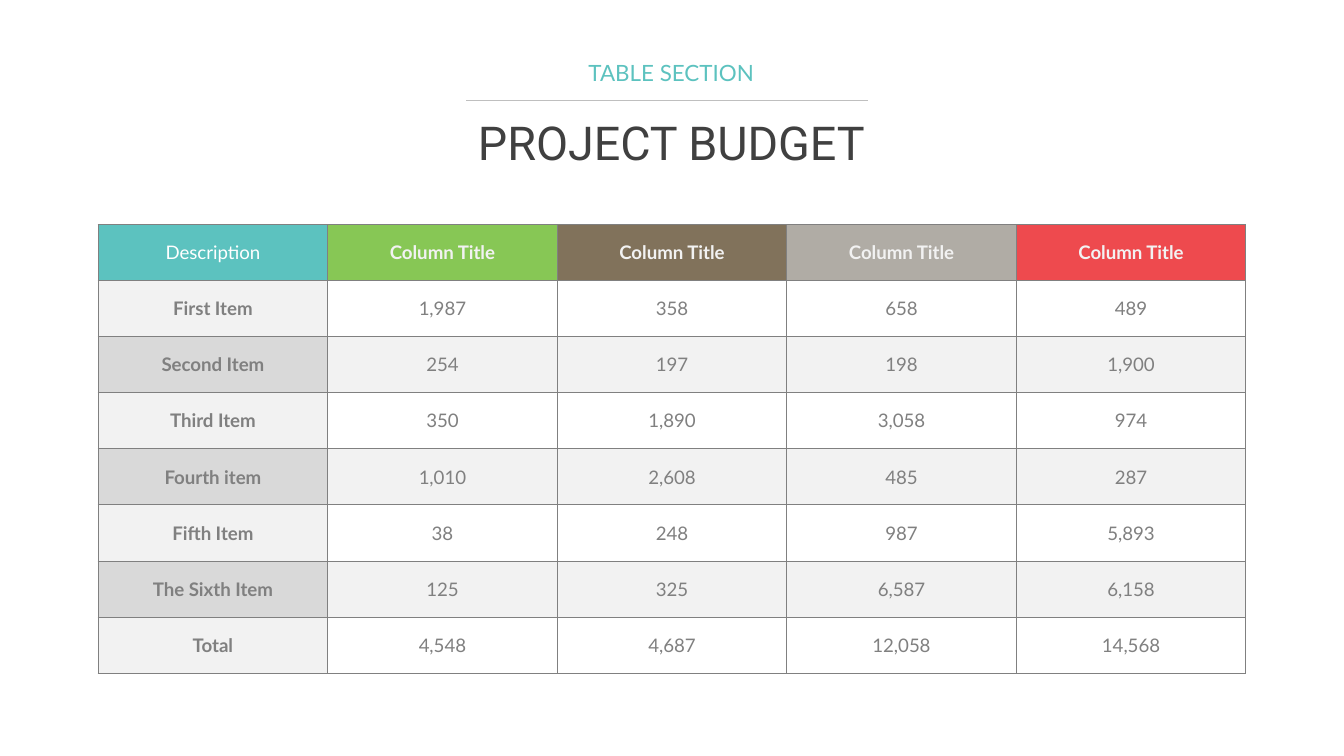
from lxml import etree
from pptx import Presentation
from pptx.dml.color import RGBColor
from pptx.enum.shapes import MSO_CONNECTOR
from pptx.enum.text import MSO_ANCHOR, MSO_AUTO_SIZE, PP_ALIGN
from pptx.oxml.ns import qn
from pptx.util import Inches, Pt

STRAIGHT = MSO_CONNECTOR.STRAIGHT
TOP, MIDDLE = MSO_ANCHOR.TOP, MSO_ANCHOR.MIDDLE
CENTER = PP_ALIGN.CENTER
NO_AUTOFIT = MSO_AUTO_SIZE.NONE

SECTION_LAYOUT = 2
WIDTH = 10
HEIGHT = WIDTH * 9 / 16
TITLE = ("PROJECT BUDGET", 0.81, 0.37, 25, "Roboto", "404040")
SECTION = ("TABLE SECTION", 0.4, 0.29, 12, "Lato", "5CC2BF")
HEADING_LEFT, HEADING_WIDTH = 0.5, 8.99
RULE_LEFT, RULE_RIGHT, RULE_TOP = 3.47, 6.46, 0.75
TABLE_LEFT, TABLE_TOP, TABLE_WIDTH, TABLE_HEIGHT = 0.73, 1.67, 8.54, 3.34

BUDGET = [
    ("Description", "Column Title", "Column Title", "Column Title", "Column Title"),
    ("First Item", "1,987", "358", "658", "489"),
    ("Second Item", "254", "197", "198", "1,900"),
    ("Third Item", "350", "1,890", "3,058", "974"),
    ("Fourth item", "1,010", "2,608", "485", "287"),
    ("Fifth Item", "38", "248", "987", "5,893"),
    ("The Sixth Item", "125", "325", "6,587", "6,158"),
    ("Total", "4,548", "4,687", "12,058", "14,568"),
]
HEADER_FILLS = ["5CC2BF", "87C755", "81725B", "B0ACA5", "EE4A4E"]
WHITE, LIGHT, MEDIUM, GRAY, SILVER = "FFFFFF", "F2F2F2", "D9D9D9", "808080", "BFBFBF"


def color(value):
    return RGBColor.from_string(value)


def write(frame, text, size, font, ink, bold=False):
    para = frame.paragraphs[0]
    para.alignment = CENTER
    para.space_before = Pt(0)
    span = para.add_run()
    span.text = text
    span.font.size = Pt(size)
    span.font.name = font
    span.font.bold = bold
    span.font.color.rgb = color(ink)


def place_heading(box, text, top, height, size, font, ink):
    box.left, box.top = Inches(HEADING_LEFT), Inches(top)
    box.width, box.height = Inches(HEADING_WIDTH), Inches(height)
    frame = box.text_frame
    frame.auto_size = NO_AUTOFIT
    frame.word_wrap = True
    frame.vertical_anchor = TOP
    frame.margin_left = frame.margin_right = Inches(0.07)
    frame.margin_top = frame.margin_bottom = Inches(0.04)
    write(frame, text, size, font, ink)


def add_rule(page):
    rule = page.shapes.add_connector(
        STRAIGHT, Inches(RULE_LEFT), Inches(RULE_TOP), Inches(RULE_RIGHT), Inches(RULE_TOP))
    rule.line.color.rgb = color(SILVER)
    rule.line.width = Pt(0.75)
    etree.SubElement(rule._element.spPr, qn("a:effectLst"))


def add_borders(cell):
    properties = cell._tc.get_or_add_tcPr()
    for side in ("lnL", "lnR", "lnT", "lnB"):
        line = etree.SubElement(properties, qn("a:" + side), w=str(Pt(0.5)))
        fill = etree.SubElement(line, qn("a:solidFill"))
        etree.SubElement(fill, qn("a:srgbClr"), val=GRAY)


def cell_style(row, column):
    if row == 0:
        return HEADER_FILLS[column], LIGHT if column else WHITE, column > 0
    shades = (LIGHT, MEDIUM) if column == 0 else (None, LIGHT)
    return shades[(row - 1) % 2], GRAY, column == 0


def fill_cell(cell, text, fill, ink, bold):
    cell.margin_left = cell.margin_right = Inches(0.02)
    cell.margin_top = cell.margin_bottom = Inches(0.02)
    cell.vertical_anchor = MIDDLE
    add_borders(cell)
    if fill:
        cell.fill.solid()
        cell.fill.fore_color.rgb = color(fill)
    else:
        cell.fill.background()
    write(cell.text_frame, text, 10, "Lato", ink, bold)


def add_budget(page):
    table = page.shapes.add_table(
        len(BUDGET), len(HEADER_FILLS), Inches(TABLE_LEFT), Inches(TABLE_TOP),
        Inches(TABLE_WIDTH), Inches(TABLE_HEIGHT)).table
    table.first_row = table.horz_banding = False
    for row, texts in enumerate(BUDGET):
        for column, text in enumerate(texts):
            fill_cell(table.cell(row, column), text, *cell_style(row, column))


def main():
    deck = Presentation()
    deck.slide_width, deck.slide_height = Inches(WIDTH), Inches(HEIGHT)
    page = deck.slides.add_slide(deck.slide_layouts[SECTION_LAYOUT])
    add_rule(page)
    place_heading(page.shapes.title, *TITLE)
    place_heading(page.placeholders[1], *SECTION)
    add_budget(page)
    deck.save("out.pptx")


if __name__ == "__main__":
    main()
